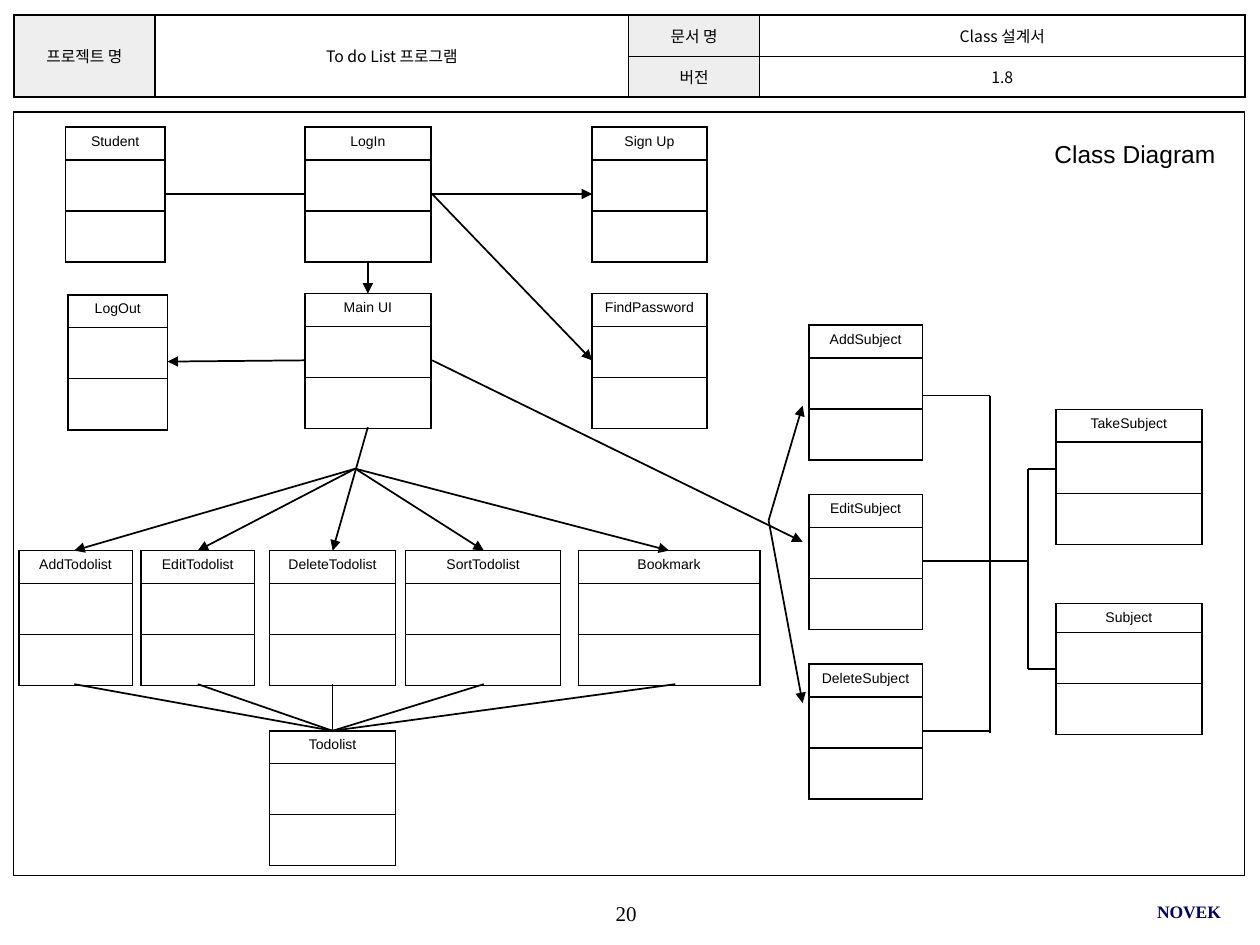
from dataclasses import dataclass
from pptx import Presentation
from pptx.dml.color import RGBColor as Rgb
from pptx.enum.shapes import MSO_CONNECTOR as Link, MSO_SHAPE as Kind
from pptx.enum.text import MSO_ANCHOR as Anchor, PP_ALIGN as Align
from pptx.oxml.ns import qn
from pptx.util import Inches, Pt
from lxml.etree import SubElement as Sub


@dataclass(frozen=True)
class Theme:
    """Colours, fonts and sizes of the slide."""
    ink: str = "000000"
    paper: str = "FFFFFF"
    shade: str = "EEEEEE"
    navy: str = "000066"
    sans: str = "Arial"
    serif: str = "Times New Roman"
    korean: str = "Noto Sans CJK KR"
    small: int = 8
    head: int = 9
    foot: int = 10
    page: int = 12
    title: int = 14
    line: float = 1
    frame: float = 0.75


T = Theme()


def style(frame, size, font, align, color=T.ink, bold=False):
    """Format every run of a text frame."""
    for para in frame.paragraphs:
        para.alignment = align
        for run in para.runs:
            run.font.size, run.font.name, run.font.bold = Pt(size), font, bold
            run.font.color.rgb = Rgb.from_string(color)
            Sub(run.font._element, qn("a:ea")).set("typeface", font)


def label(slide, box, text, size, font, align, color=T.ink, bold=False, pad=0):
    """Add one wrapped text box."""
    frame = slide.shapes.add_textbox(*map(Inches, box)).text_frame
    frame.word_wrap = True
    frame.margin_left = frame.margin_right = Inches(pad)
    frame.margin_top = frame.margin_bottom = Inches(pad / 2)
    frame.vertical_anchor = Anchor.MIDDLE
    frame.text = text
    style(frame, size, font, align, color, bold)


def edge(cell):
    """Draw the four borders of a cell."""
    props = cell._tc.get_or_add_tcPr()
    for side in ("lnL", "lnR", "lnT", "lnB"):
        line = Sub(props, qn(f"a:{side}"), w=str(Pt(T.line)))
        Sub(Sub(line, qn("a:solidFill")), qn("a:srgbClr"), val=T.ink)


def grid(slide, left, top, cols, rows):
    """Add a plain ruled table."""
    box = map(Inches, (left, top, sum(cols), sum(rows)))
    table = slide.shapes.add_table(len(rows), len(cols), *box).table
    table.first_row = table.horz_banding = False
    for col, width in zip(table.columns, cols):
        col.width = Inches(width)
    for row, height in zip(table.rows, rows):
        row.height = Inches(height)
    for cell in table.iter_cells():
        edge(cell)
        cell.fill.solid()
        cell.fill.fore_color.rgb = Rgb.from_string(T.paper)
    return table


def header(slide, left, top):
    """Add the document header table."""
    table = grid(slide, left, top, (1.12, 3.76, 1.04, 3.85), (0.33, 0.32))
    for col in (0, 1):
        table.cell(0, col).merge(table.cell(1, col))
    for row, col, text in ((0, 0, "프로젝트 명"), (0, 1, "To do List 프로그램"),
                           (0, 2, "문서 명"), (0, 3, "Class 설계서"),
                           (1, 2, "버전"), (1, 3, "1.8")):
        cell = table.cell(row, col)
        cell.text_frame.text = text
        cell.vertical_anchor = Anchor.MIDDLE
        cell.margin_left = cell.margin_right = Inches(0.04)
        cell.margin_top = cell.margin_bottom = Inches(0.02)
        style(cell.text_frame, T.head, T.korean, Align.CENTER)
        if col % 2 == 0:
            cell.fill.fore_color.rgb = Rgb.from_string(T.shade)


def entity(slide, name, left, top, width, head=0.26):
    """Add a class box with a name and two empty parts."""
    table = grid(slide, left, top, (width,), (head, 0.38, 0.38))
    frame = table.cell(0, 0).text_frame
    frame.text = name
    style(frame, T.small, T.sans, Align.CENTER)


def wire(slide, start, end, arrow=False):
    """Join two points, with an arrowhead if asked."""
    ends = map(Inches, (*start, *end))
    link = slide.shapes.add_connector(Link.STRAIGHT, *ends)
    link.line.width = Pt(T.line)
    link.line.color.rgb = Rgb.from_string(T.ink)
    if arrow:
        Sub(link.line._get_or_add_ln(), qn("a:tailEnd"), type="triangle")
    Sub(link._element.spPr, qn("a:effectLst"))


def border(slide, box):
    """Add the frame around the diagram."""
    rect = slide.shapes.add_shape(Kind.RECTANGLE, *map(Inches, box))
    rect.shadow.inherit = False
    rect.fill.background()
    rect.line.width = Pt(T.frame)
    rect.line.color.rgb = Rgb.from_string(T.ink)


def login(slide, x, y):
    """Add the sign-in classes and their links."""
    low, mid = y + 1.32, y + 0.53
    for name, dx, top, width in (
            ("Student", 0, y, 0.79), ("LogOut", 0.02, y + 1.33, 0.79),
            ("LogIn", 1.9, y, 1), ("Main UI", 1.9, low, 1),
            ("Sign Up", 4.18, y, 0.91), ("FindPassword", 4.18, low, 0.91)):
        entity(slide, name, x + dx, top, width)
    wire(slide, (x + 0.79, mid), (x + 1.9, mid))
    for start, end in (
            ((2.4, 1.06), (2.4, 1.32)), ((2.91, 0.53), (4.18, 0.53)),
            ((2.91, 0.53), (4.18, 1.85)), ((1.9, 1.85), (0.81, 1.86)),
            ((2.91, 1.85), (5.85, 3.29))):
        wire(slide, (x + start[0], y + start[1]), (x + end[0], y + end[1]), True)


def todo(slide, x, y):
    """Add the to-do classes, fanning from a hub and into Todolist."""
    hub, sink = (x + 2.67, y - 0.65), (x + 2.49, y + 1.43)
    wire(slide, (x + 2.77, y - 0.98), (x + 2.49, y), True)
    for name, dx, width, tip, base in (
            ("AddTodolist", 0, 0.9, 0.44, 0.44),
            ("EditTodolist", 0.97, 0.9, 1.42, 1.42),
            ("DeleteTodolist", 1.99, 1, None, 2.49),
            ("SortTodolist", 3.07, 1.23, 3.69, 3.69),
            ("Bookmark", 4.44, 1.44, 5.16, 5.21)):
        entity(slide, name, x + dx, y, width)
        if tip:
            wire(slide, hub, (x + tip, y), True)
        wire(slide, (x + base, y + 1.06), sink)
    entity(slide, "Todolist", x + 1.99, sink[1], 1)


def subject(slide, x, y):
    """Add the subject classes, joined by two rails."""
    fork, rail, stem = (x - 0.32, y + 1.55), x + 1.44, x + 1.74
    for step, (verb, out) in enumerate((("Add", 0.56), ("Edit", 1.87),
                                        ("Delete", 3.22))):
        entity(slide, f"{verb}Subject", x, y + step * 1.345, 0.9)
        wire(slide, (x + 0.9, y + out), (rail, y + out))
    for tip in (0.64, 3):
        wire(slide, fork, (x - 0.05, y + tip), True)
    wire(slide, (rail, y + 0.56), (rail, y + 3.24))
    wire(slide, (rail, y + 1.87), (stem, y + 1.87))
    wire(slide, (stem, y + 1.14), (stem, y + 2.73))
    for name, dy, mid, head in (("TakeSubject", 0.67, 1.14, 0.26),
                                ("Subject", 2.21, 2.73, 0.23)):
        entity(slide, name, x + 1.96, y + dy, 1.16, head)
        wire(slide, (stem, y + mid), (x + 1.96, y + mid))


def main():
    """Build the class diagram slide."""
    deck = Presentation()
    deck.slide_width, deck.slide_height = Inches(10), Inches(7.5)
    slide = deck.slides.add_slide(deck.slide_layouts[6])
    header(slide, 0.11, 0.12)
    border(slide, (0.11, 0.89, 9.77, 6.06))
    login(slide, 0.52, 1.01)
    todo(slide, 0.15, 4.37)
    subject(slide, 6.42, 2.58)
    label(slide, (8.27, 1.05, 1.58, 0.34), "Class Diagram", T.title, T.sans,
          Align.LEFT, pad=0.1)
    label(slide, (3.93, 7.08, 2.08, 0.33), "20", T.page, T.serif, Align.CENTER)
    label(slide, (6.63, 7.07, 3.06, 0.33), "NOVEK", T.foot, T.serif,
          Align.RIGHT, T.navy, True)
    deck.save("out.pptx")


main()
